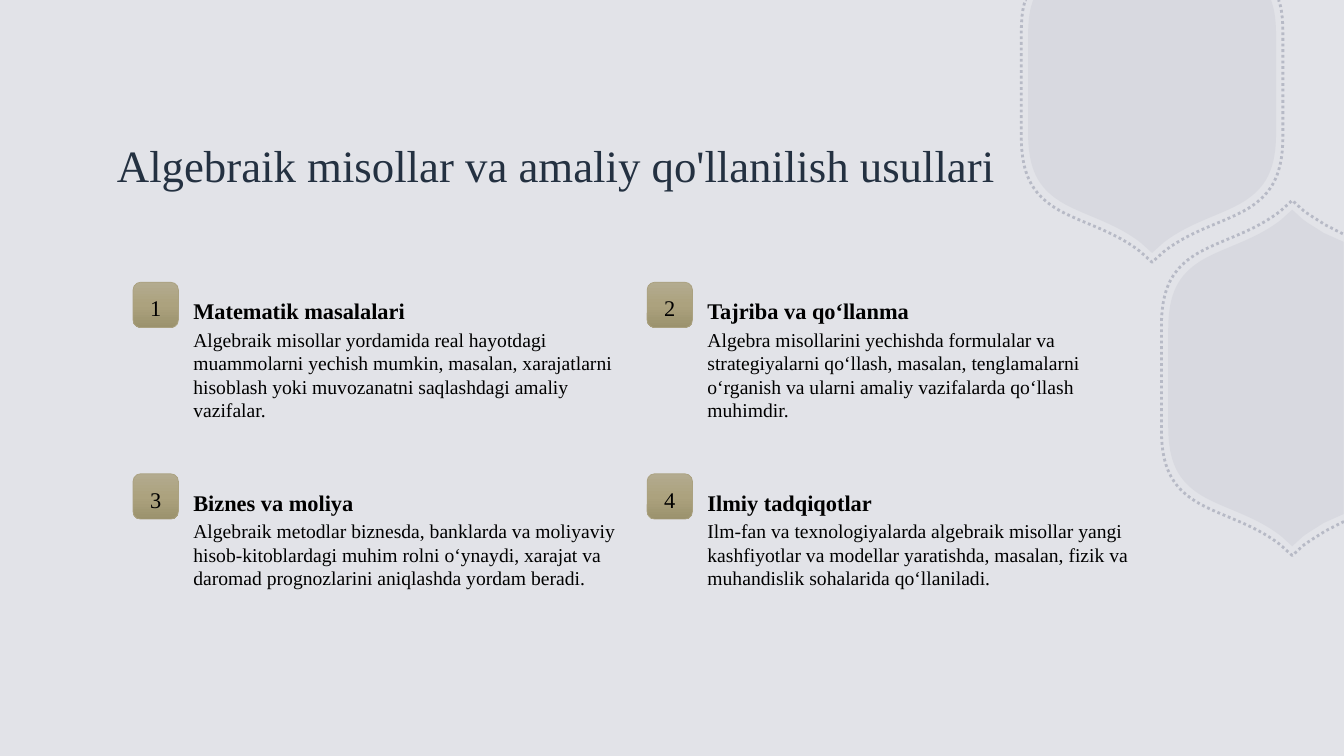
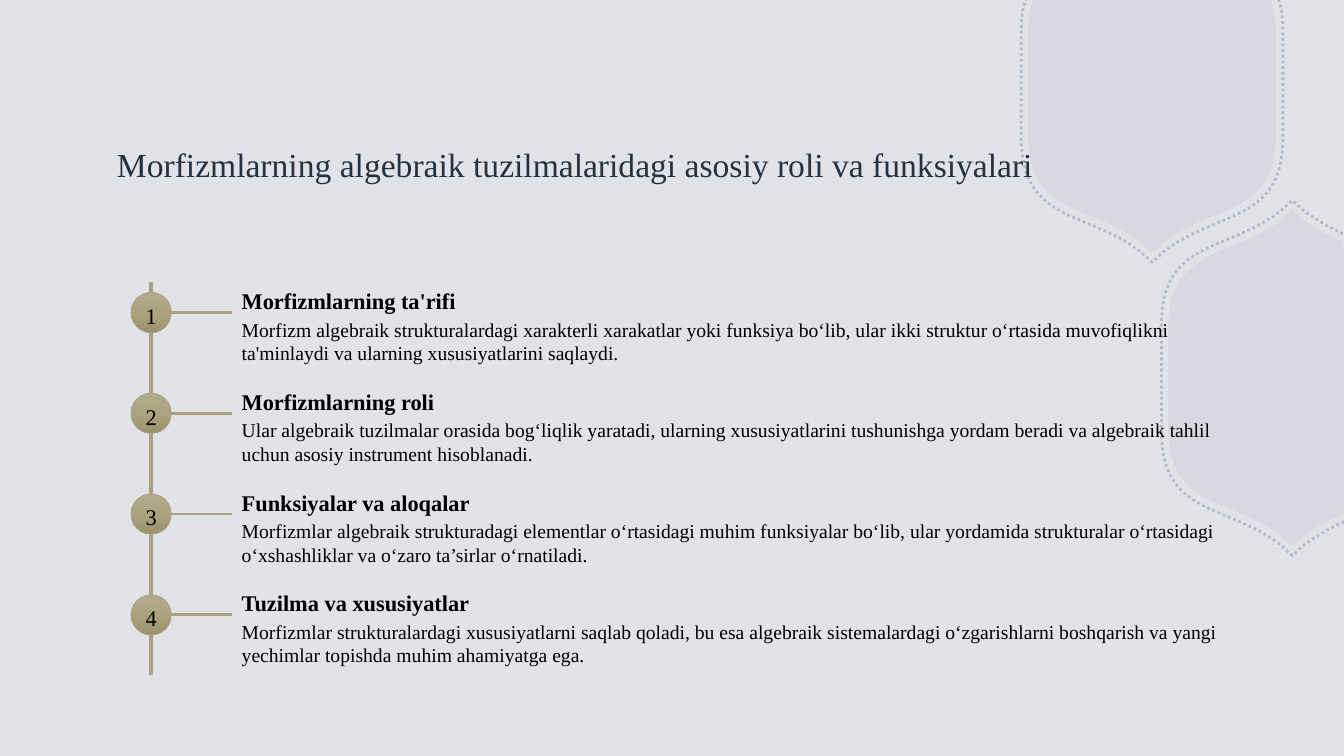
from copy import deepcopy

from lxml.etree import SubElement
from pptx import Presentation
from pptx.dml.color import RGBColor
from pptx.enum.dml import MSO_LINE
from pptx.enum.shapes import MSO_CONNECTOR, MSO_SHAPE
from pptx.enum.text import MSO_ANCHOR, MSO_AUTO_SIZE, PP_ALIGN
from pptx.oxml.ns import qn
from pptx.util import Inches, Pt

WIDE, HIGH = 40 / 3, 7.5
FONT = "Times New Roman"
PAPER, MIST, NAVY, BLACK = "E2E3E8", "A2A5B5", "243141", "000000"
SAND, GLOW = "AAA180", ("B3AB8F", "ACA27E", "9B926D")

# Lower right quarter of a shield, from its centre: side, two curves, tip
QUART = [(1.23, 0.48), (1.23, 0.84), (1.13, 1.02), (0.91, 1.16),
         (0.68, 1.3), (0.38, 1.36), (0.11, 1.57), (0, 1.67)]
# Each shield: centre, mirror signs, half outline from the slide edge,
# and its segments (L line, C curve)
SHIELDS = [
    ((11.43, 0.84), (-1, 1),
     [(1.18, -0.84), (1.19, -0.81), (1.22, -0.72), (1.23, -0.61),
      (1.23, -0.48)] + QUART, "LCLCCL"),
    ((12.82, 3.75), (1, -1),
     [(0.51, 1.35), (0.31, 1.44), (0.25, 1.48), (0.18, 1.52), (0.11, 1.57)]
     + [(-x, y) for x, y in QUART[::-1]], "LCLLCC"),
]


def color(code):
    return RGBColor.from_string(code)


def fade(shape, share):
    """Make the one colour of a shape partly transparent."""
    for tone in shape._element.spPr.iter(qn("a:srgbClr")):
        SubElement(tone, qn("a:alpha")).set("val", str(share * 1000))


def write(frame, text, size=14, tone=BLACK, bold=False, align=PP_ALIGN.LEFT,
          anchor=MSO_ANCHOR.TOP, fit=MSO_AUTO_SIZE.NONE):
    frame.word_wrap = True
    frame.auto_size = fit
    frame.vertical_anchor = anchor
    frame.text = text
    para = frame.paragraphs[0]
    para.alignment = align
    font = para.font
    font.name, font.size, font.bold = FONT, Pt(size), bold
    font.color.rgb = color(tone)


def mirror(half, kinds, signs):
    """Join a half outline to its mirror image."""
    back = [(x * signs[0], y * signs[1]) for x, y in half[::-1]]
    if back[0] == half[-1]:
        return half + back[1:], kinds + kinds[::-1]
    return half + back, kinds + "L" + kinds[::-1]


def curve(shape, kinds):
    """Turn each run of three line segments marked C into one curve."""
    lines = iter(list(shape._element.spPr.iter(qn("a:lnTo"))))
    for kind in kinds:
        first = next(lines)
        if kind == "C":
            first.tag = qn("a:cubicBezTo")
            for rest in (next(lines), next(lines)):
                first.append(rest[0])
                rest.getparent().remove(rest)


class Deck:
    def __init__(self):
        self.file = Presentation()
        self.file.slide_width, self.file.slide_height = Inches(WIDE), Inches(HIGH)
        back = self.file.slide_master.background.fill
        back.solid()
        back.fore_color.rgb = color(PAPER)
        self.base = self.file.slide_layouts[5]
        self.page = None

    def start(self, title, size):
        self.page = self.file.slides.add_slide(self.base)
        if len(self.file.slides) == 1:
            self.decor()
        head = self.page.shapes.title
        head.left, head.top = Inches(1.06), Inches(1.05)
        head.width, head.height = Inches(9.93), Inches(1.16)
        write(head.text_frame, title, size=size, tone=NAVY,
              anchor=MSO_ANCHOR.MIDDLE)

    def decor(self):
        """Shields cut at the slide edge, kept on the shared layout."""
        for form in SHIELDS:
            body = self.trace(*form, scale=1, close=True)
            body.fill.solid()
            body.fill.fore_color.rgb = color(MIST)
            body.line.fill.background()
            fade(body, 15)
            self.share(body)
        for form in SHIELDS:
            rim = self.trace(*form, scale=1.055, close=False)
            rim.fill.background()
            rim.line.color.rgb = color(MIST)
            rim.line.width = Pt(2)
            rim.line.dash_style = MSO_LINE.ROUND_DOT
            fade(rim, 65)
            self.share(rim)

    def trace(self, mid, signs, half, kinds, scale, close):
        loop, kinds = mirror(half, kinds, signs)
        spots = [(Inches(min(mid[0] + x * scale, WIDE)),
                  Inches(max(mid[1] + y * scale, 0))) for x, y in loop]
        pen = self.page.shapes.build_freeform(*spots[0])
        pen.add_line_segments(spots[1:], close=close)
        shape = pen.convert_to_shape()
        shape.shadow.inherit = False
        curve(shape, kinds)
        return shape

    def share(self, shape):
        tree = self.base.shapes._spTree
        shape._element.nvSpPr.cNvPr.set("id", str(20 + len(tree)))
        tree.append(shape._element)

    def text(self, x, y, w, h, text, **form):
        box = self.page.shapes.add_textbox(*map(Inches, (x, y, w, h)))
        write(box.text_frame, text, fit=MSO_AUTO_SIZE.SHAPE_TO_FIT_TEXT, **form)

    def line(self, x, y, x2, y2, width):
        rule = self.page.shapes.add_connector(
            MSO_CONNECTOR.STRAIGHT, *map(Inches, (x, y, x2, y2)))
        rule.line.color.rgb = color(SAND)
        rule.line.width = Pt(width)
        SubElement(rule._element.spPr, qn("a:effectLst"))

    def badge(self, kind, x, y, side, num):
        shape = self.page.shapes.add_shape(kind, *map(Inches, (x, y, side, side)))
        shape.shadow.inherit = False
        shape.line.color.rgb = color(SAND)
        shape.line.width = Pt(0.5)
        # Gradient with a third stop in the middle
        fill = shape.fill
        fill.gradient()
        fill.gradient_angle = 270
        stops = shape._element.spPr.find(".//" + qn("a:gsLst"))
        stops.insert(1, deepcopy(stops[0]))
        for i, (stop, tone) in enumerate(zip(fill.gradient_stops, GLOW)):
            stop.position = i / 2
            stop.color.rgb = color(tone)
        frame = shape.text_frame
        frame.margin_left = frame.margin_right = frame.margin_bottom = 0
        frame.margin_top = Inches(0.06)
        write(frame, str(num), size=16, align=PP_ALIGN.CENTER,
              anchor=MSO_ANCHOR.MIDDLE)

    def entry(self, x, y, w, h, name, note):
        self.text(x, y, w, 0.3, name, size=16, bold=True)
        self.text(x, y + 0.3, w, h, note)


USES = [
    ("Matematik masalalari",
     "Algebraik misollar yordamida real hayotdagi muammolarni yechish mumkin, "
     "masalan, xarajatlarni hisoblash yoki muvozanatni saqlashdagi amaliy vazifalar."),
    ("Tajriba va qo‘llanma",
     "Algebra misollarini yechishda formulalar va strategiyalarni qo‘llash, masalan, "
     "tenglamalarni o‘rganish va ularni amaliy vazifalarda qo‘llash muhimdir."),
    ("Biznes va moliya",
     "Algebraik metodlar biznesda, banklarda va moliyaviy hisob-kitoblardagi muhim "
     "rolni o‘ynaydi, xarajat va daromad prognozlarini aniqlashda yordam beradi."),
    ("Ilmiy tadqiqotlar",
     "Ilm-fan va texnologiyalarda algebraik misollar yangi kashfiyotlar va modellar "
     "yaratishda, masalan, fizik va muhandislik sohalarida qo‘llaniladi."),
]

ROLES = [
    ("Morfizmlarning ta'rifi",
     "Morfizm algebraik strukturalardagi xarakterli xarakatlar yoki funksiya bo‘lib, "
     "ular ikki struktur o‘rtasida muvofiqlikni ta'minlaydi va ularning "
     "xususiyatlarini saqlaydi."),
    ("Morfizmlarning roli",
     "Ular algebraik tuzilmalar orasida bog‘liqlik yaratadi, ularning xususiyatlarini "
     "tushunishga yordam beradi va algebraik tahlil uchun asosiy instrument "
     "hisoblanadi."),
    ("Funksiyalar va aloqalar",
     "Morfizmlar algebraik strukturadagi elementlar o‘rtasidagi muhim funksiyalar "
     "bo‘lib, ular yordamida strukturalar o‘rtasidagi o‘xshashliklar va o‘zaro "
     "ta’sirlar o‘rnatiladi."),
    ("Tuzilma va xususiyatlar",
     "Morfizmlar strukturalardagi xususiyatlarni saqlab qoladi, bu esa algebraik "
     "sistemalardagi o‘zgarishlarni boshqarish va yangi yechimlar topishda muhim "
     "ahamiyatga ega."),
]


def main():
    deck = Deck()

    # Slide 1: two by two grid of uses
    deck.start("Algebraik misollar va amaliy qo'llanilish usullari", 32)
    for i, (name, note) in enumerate(USES):
        row, col = divmod(i, 2)
        x, y = 1.32 + 5.1 * col, 2.8 + 1.9 * row
        deck.badge(MSO_SHAPE.ROUNDED_RECTANGLE, x, y, 0.45, i + 1)
        deck.entry(x + 0.5, y + 0.1, 4.6, 1.1, name, note)

    # Slide 2: vertical timeline of roles
    deck.start("Morfizmlarning algebraik tuzilmalaridagi asosiy roli va funksiyalari", 24)
    deck.line(1.5, 2.8, 1.5, 6.7, 3)
    for i, (name, note) in enumerate(ROLES):
        y = 3.1 + i
        deck.line(1.5, y, 2.3, y, 2)
        deck.badge(MSO_SHAPE.OVAL, 1.3, y - 0.2, 0.4, i + 1)
        deck.entry(2.3, y - 0.3, 10, 1, name, note)

    deck.file.save("out.pptx")


if __name__ == "__main__":
    main()
